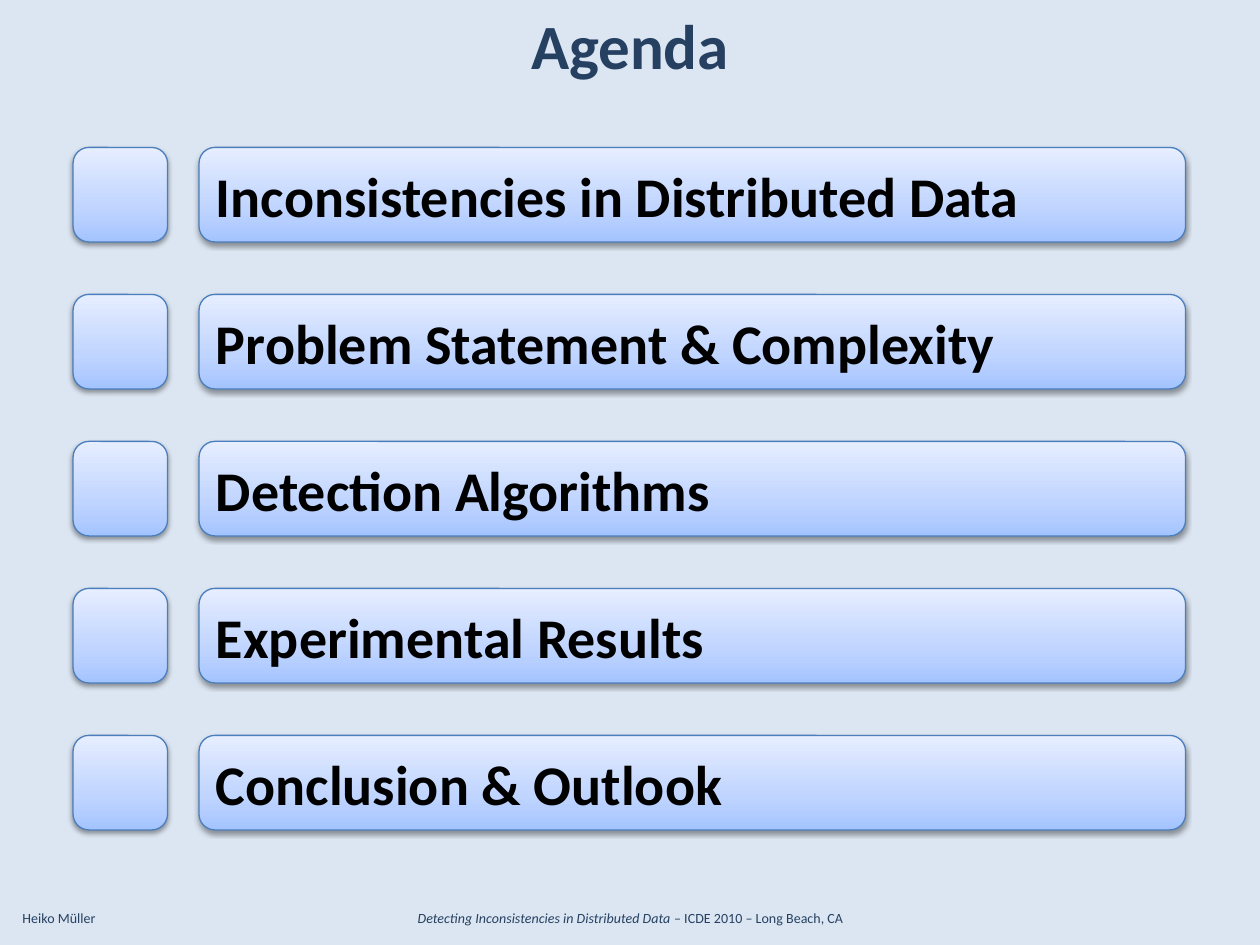
"""Build the agenda slide with five topic bars."""
from lxml import etree
from pptx import Presentation
from pptx.dml.color import RGBColor
from pptx.enum import shapes, text
from pptx.oxml.ns import qn
from pptx.util import Inches, Pt

BACK = RGBColor(0xDC, 0xE6, 0xF2)
NAVY = RGBColor(0x25, 0x40, 0x61)
EDGE = RGBColor(0x4B, 0x7E, 0xBC)
BLACK = RGBColor(0, 0, 0)
STOPS = [
    (0, RGBColor(0xA4, 0xC4, 0xFF)),
    (35, RGBColor(0xBF, 0xD4, 0xFF)),
    (100, RGBColor(0xE6, 0xEE, 0xFF)),
]

TOPICS = [
    "Inconsistencies in Distributed Data",
    "Problem Statement & Complexity",
    "Detection Algorithms",
    "Experimental Results",
    "Conclusion & Outlook",
]
LEFT, CENTER = text.PP_ALIGN.LEFT, text.PP_ALIGN.CENTER
LABELS = [
    ((0.08, 7.17, 1, 0.24), LEFT, 8, False, [("Heiko Müller", False)]),
    ((0.17, 7.17, 9.67, 0.24), CENTER, 8, False, [
        ("Detecting Inconsistencies in Distributed Data ", True),
        ("– ICDE 2010 – Long Beach, CA", False),
    ]),
    ((0.5, 0, 9, 0.67), CENTER, 36, True, [("Agenda", False)]),
]
TOP, PITCH, HIGH = 1.17, 3.5 / 3, 0.75
COLUMNS = [(0.58, 0.75), (1.58, 7.83)]


def write(frame, runs, size, color, bold, align):
    frame.word_wrap = True
    para = frame.paragraphs[0]
    para.alignment = align
    for words, slant in runs:
        run = para.add_run()
        run.text = words
        font = run.font
        font.name, font.size = "Calibri", Pt(size)
        font.bold, font.italic = bold, slant
        font.color.rgb = color


def add_label(slide, place, align, size, bold, runs):
    box = slide.shapes.add_textbox(*map(Inches, place))
    write(box.text_frame, runs, size, NAVY, bold, align)


def add_color(parent, color):
    return etree.SubElement(parent, qn("a:srgbClr"), val=str(color))


def add_bar(slide, left, top, width):
    bar = slide.shapes.add_shape(
        shapes.MSO_SHAPE.ROUNDED_RECTANGLE,
        *map(Inches, (left, top, width, HIGH)))
    bar.line.color.rgb = EDGE
    bar.line.width = Pt(0.75)
    bar.fill.gradient()
    bar.fill.gradient_angle = 90
    props = bar.element.spPr
    stops = props.find(".//" + qn("a:gsLst"))
    stops.clear()
    for part, color in STOPS:
        stop = etree.SubElement(stops, qn("a:gs"), pos=str(part * 1000))
        add_color(stop, color)
    bar.shadow.inherit = False
    shade = etree.SubElement(
        props.find(qn("a:effectLst")), qn("a:outerShdw"),
        blurRad=str(Pt(3.1)), dist=str(Pt(1.6)), dir="5400000",
        rotWithShape="0")
    etree.SubElement(add_color(shade, BLACK), qn("a:alpha"), val="38000")
    return bar


def main():
    deck = Presentation()
    deck.slide_width, deck.slide_height = Inches(10), Inches(7.5)
    slide = deck.slides.add_slide(deck.slide_layouts[6])
    slide.background.fill.solid()
    slide.background.fill.fore_color.rgb = BACK
    for label in LABELS:
        add_label(slide, *label)
    for row, topic in enumerate(TOPICS):
        mark, bar = [add_bar(slide, left, TOP + row * PITCH, width)
                     for left, width in COLUMNS]
        bar.text_frame.vertical_anchor = text.MSO_ANCHOR.MIDDLE
        write(bar.text_frame, [(topic, False)], 32, BLACK, True, LEFT)
    deck.save("out.pptx")


if __name__ == "__main__":
    main()
